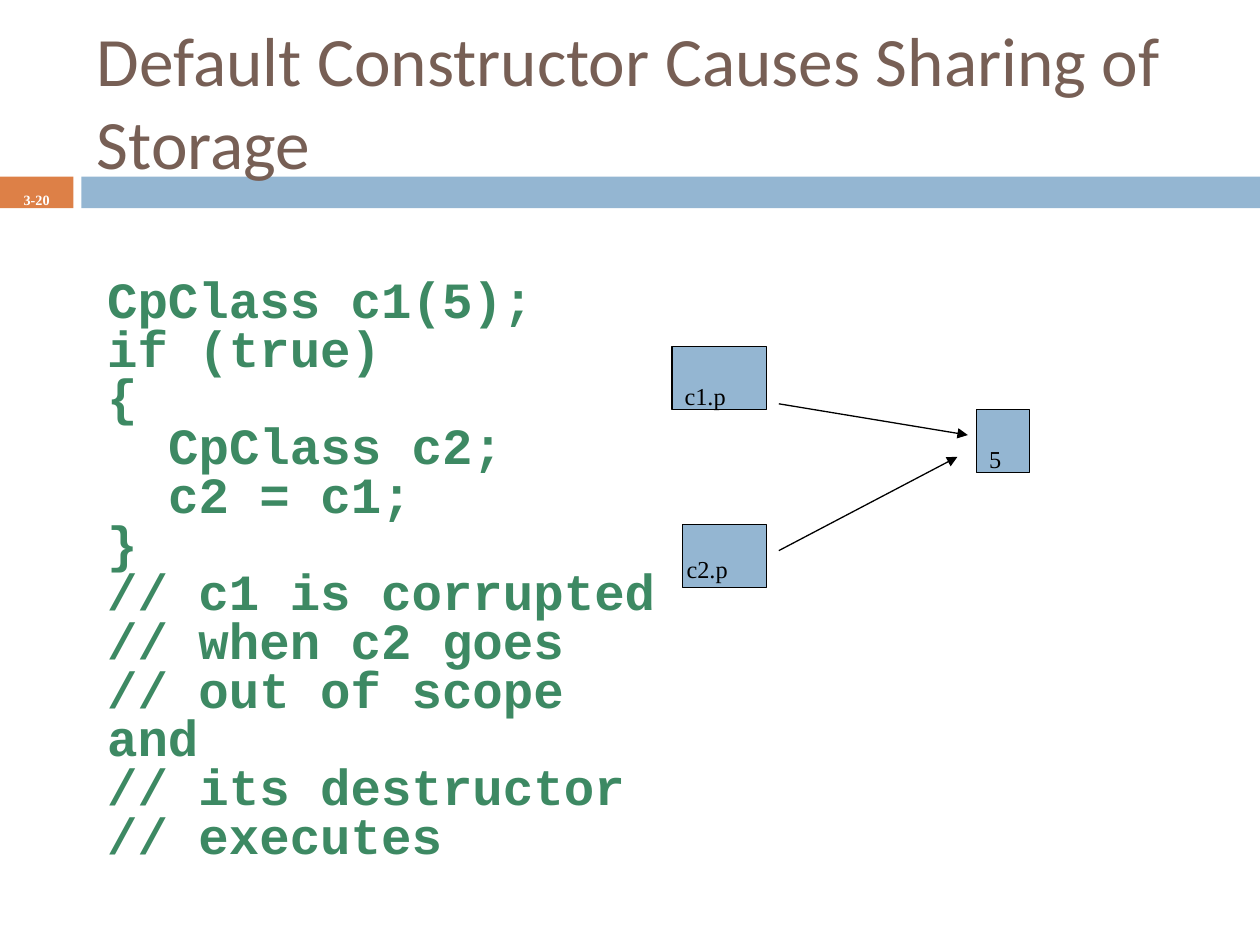
from dataclasses import dataclass

from lxml import etree
from pptx import Presentation
from pptx.dml.color import RGBColor
from pptx.enum.shapes import MSO_CONNECTOR, MSO_SHAPE
from pptx.enum.text import MSO_ANCHOR, PP_ALIGN
from pptx.oxml.ns import qn
from pptx.slide import Slide
from pptx.util import Cm, Pt

RECTANGLE = MSO_SHAPE.RECTANGLE
STRAIGHT = MSO_CONNECTOR.STRAIGHT
TOP, MIDDLE = MSO_ANCHOR.TOP, MSO_ANCHOR.MIDDLE
LEFT, CENTER = PP_ALIGN.LEFT, PP_ALIGN.CENTER

COLORS = {
    "orange": "DD8047",
    "blue": "94B6D2",
    "brown": "775F55",
    "green": "3D8963",
    "black": "000000",
    "white": "FFFFFF",
}
CODE_INDENT = Cm(1.23)
CODE_LINES = [
    (0, "CpClass c1(5);"),
    (0, "if (true)"),
    (0, "{"),
    (1, "CpClass c2;"),
    (1, "c2 = c1;"),
    (0, "}"),
    (0, "// c1 is corrupted"),
    (0, "// when c2 goes"),
    (0, "// out of scope and"),
    (0, "// its destructor"),
    (0, "// executes"),
]


@dataclass(frozen=True)
class Area:
    left: float
    top: float
    width: float
    height: float

    def lengths(self) -> tuple[Cm, Cm, Cm, Cm]:
        return Cm(self.left), Cm(self.top), Cm(self.width), Cm(self.height)


@dataclass(frozen=True)
class Style:
    font: str
    size: float
    color: str
    bold: bool = False
    lowered: bool = False
    align: PP_ALIGN = LEFT
    anchor: MSO_ANCHOR = TOP
    spacing: float = 1.0
    wrap: bool = True


@dataclass(frozen=True)
class Cell:
    box: Area
    label: str
    label_area: Area


@dataclass(frozen=True)
class Pointer:
    start: tuple[float, float]
    end: tuple[float, float]


TITLE = Style("Calibri", 39.6, "brown", anchor=MIDDLE)
CODE = Style("Courier New", 29, "green", bold=True, spacing=0.8)
NUMBER = Style("Times New Roman", 14, "white", bold=True, lowered=True,
               align=CENTER, anchor=MIDDLE)
LABEL = Style("Times New Roman", 24, "black", lowered=True, wrap=False)

CELLS = [
    Cell(Area(13.76, 10.58, 1.69, 1.27), "c2.p", Area(13.59, 10.48, 1.96, 1.27)),
    Cell(Area(13.55, 6.99, 1.9, 1.27), "c1.p", Area(13.55, 6.99, 1.96, 1.27)),
    Cell(Area(19.69, 8.26, 1.06, 1.27), "5", Area(19.69, 8.26, 0.93, 1.27)),
]
POINTERS = [
    Pointer((15.7, 8.14), (19.51, 8.77)),
    Pointer((15.7, 11.1), (19.3, 9.21)),
]


def rgb(name: str) -> RGBColor:
    """Return the named colour."""
    return RGBColor.from_string(COLORS[name])


def add_box(slide: Slide, area: Area, fill: str, outlined: bool = False) -> None:
    """Draw a filled rectangle, with a thin black outline if asked."""
    box = slide.shapes.add_shape(RECTANGLE, *area.lengths())
    box.shadow.inherit = False
    box.fill.solid()
    box.fill.fore_color.rgb = rgb(fill)
    if outlined:
        box.line.color.rgb = rgb("black")
        box.line.width = Pt(0.75)
    else:
        box.line.fill.background()


def add_text(slide: Slide, area: Area, lines: list[tuple[int, str]], style: Style) -> None:
    """Write lines of (indent level, text) in one style."""
    frame = slide.shapes.add_textbox(*area.lengths()).text_frame
    frame.word_wrap = style.wrap
    frame.vertical_anchor = style.anchor
    frame.text = "\n".join(text for _, text in lines)
    for paragraph, (level, _) in zip(frame.paragraphs, lines):
        paragraph.alignment = style.align
        paragraph.line_spacing = style.spacing
        if level:
            paragraph._p.get_or_add_pPr().set("marL", str(level * CODE_INDENT))
        for run in paragraph.runs:
            run.font.name = style.font
            run.font.size = Pt(style.size)
            run.font.bold = style.bold
            run.font.color.rgb = rgb(style.color)
            if style.lowered:
                run.font._element.set("baseline", "-25000")


def add_pointer(slide: Slide, pointer: Pointer) -> None:
    """Draw a black arrow from start to end."""
    points = [Cm(value) for value in pointer.start + pointer.end]
    arrow = slide.shapes.add_connector(STRAIGHT, *points)
    arrow.line.color.rgb = rgb("black")
    arrow.line.width = Pt(0.75)
    etree.SubElement(arrow.line._get_or_add_ln(), qn("a:tailEnd"), type="triangle")
    etree.SubElement(arrow._element.spPr, qn("a:effectLst"))


def main() -> None:
    """Build the slide and save it."""
    deck = Presentation()
    deck.slide_width, deck.slide_height = Cm(25.4), Cm(19.05)
    slide = deck.slides.add_slide(deck.slide_layouts[6])
    add_box(slide, Area(0, 3.56, 1.48, 0.64), "orange")
    add_box(slide, Area(1.64, 3.56, 23.76, 0.64), "blue")
    add_text(slide, Area(1.7, 0.65, 22.66, 2.74),
             [(0, "Default Constructor Causes Sharing of Storage")], TITLE)
    add_text(slide, Area(1.91, 5.51, 11.63, 12.5), CODE_LINES, CODE)
    add_text(slide, Area(0, 3.51, 1.48, 0.69), [(0, "3-20")], NUMBER)
    for cell in CELLS:
        add_box(slide, cell.box, "blue", outlined=True)
    for cell in CELLS:
        add_text(slide, cell.label_area, [(0, cell.label)], LABEL)
    for pointer in POINTERS:
        add_pointer(slide, pointer)
    deck.save("out.pptx")


if __name__ == "__main__":
    main()
